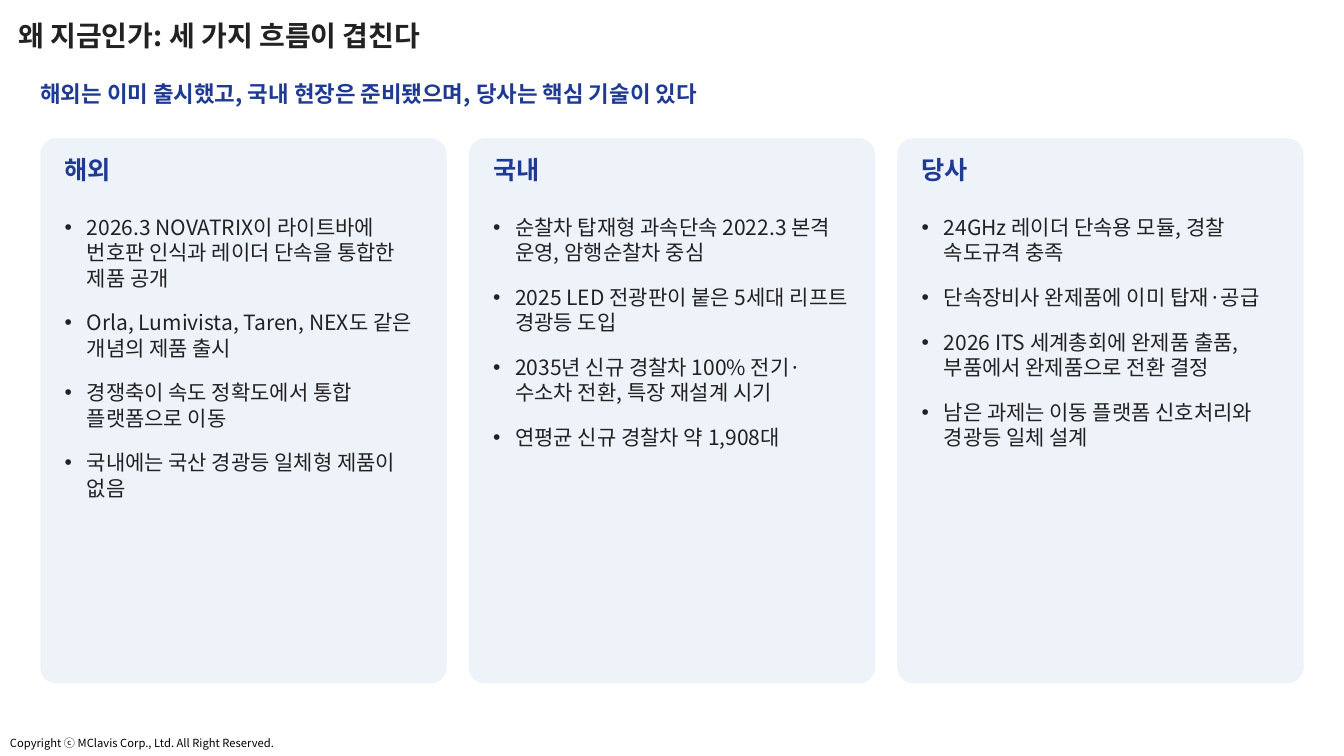
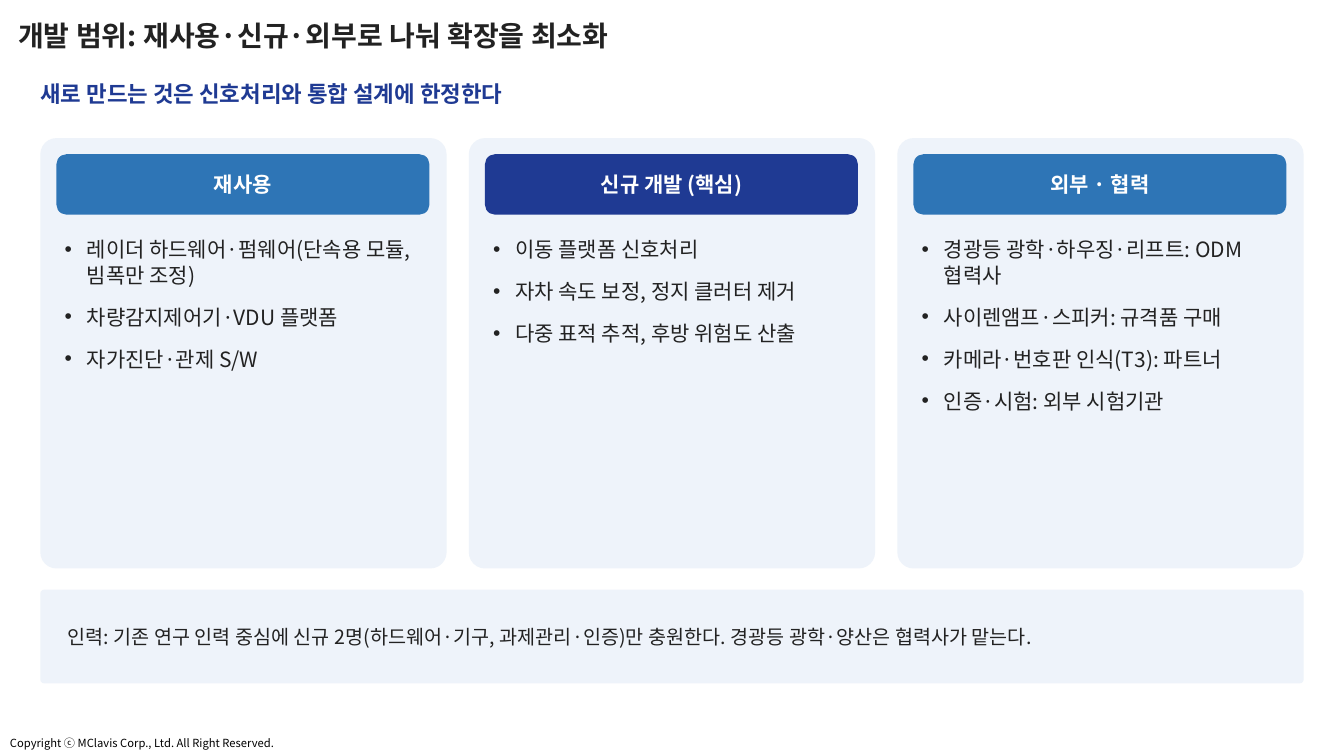
from dataclasses import dataclass
from typing import Optional

from lxml.etree import SubElement
from pptx import Presentation
from pptx.dml.color import RGBColor
from pptx.enum.shapes import MSO_SHAPE
from pptx.enum.text import MSO_ANCHOR, MSO_AUTO_SIZE, PP_ALIGN
from pptx.oxml.ns import qn
from pptx.util import Inches, Pt


@dataclass(frozen=True)
class Theme:
    face: str = "Noto Sans CJK KR"
    ink: str = "222222"
    navy: str = "1F3A93"
    blue: str = "2E75B6"
    pale: str = "EEF3FA"
    white: str = "FFFFFF"
    black: str = "000000"
    title: int = 20
    head: int = 18
    lead: int = 16
    body: int = 15
    note: int = 14
    foot: int = 8


@dataclass(frozen=True)
class Box:
    left: float
    top: float
    width: float
    height: float


@dataclass(frozen=True)
class Style:
    size: int
    color: str
    bold: bool = False
    after: int = 0
    line: Optional[float] = None
    bullet: bool = False
    align: PP_ALIGN = PP_ALIGN.LEFT


@dataclass(frozen=True)
class Card:
    head: str
    items: tuple[str, ...]
    fill: Optional[str] = None


@dataclass(frozen=True)
class Page:
    title: str
    lead: str
    cards: tuple[Card, ...]
    height: float
    top: float
    after: int
    note: str = ""


THEME = Theme()
LEFT, TOP, WIDE, GAP, COUNT = 0.4, 1.37, 12.53, 0.22, 3
CARD = round((WIDE - GAP * (COUNT - 1)) / COUNT, 2)
PAD, INSET = 0.24, 0.16
FOOT = "Copyright ⓒ MClavis Corp., Ltd. All Right Reserved."

PAGES = (
    Page(
        "왜 지금인가: 세 가지 흐름이 겹친다",
        "해외는 이미 출시했고, 국내 현장은 준비됐으며, 당사는 핵심 기술이 있다",
        (
            Card("해외", (
                "2026.3 NOVATRIX이 라이트바에 번호판 인식과 레이더 단속을 통합한 제품 공개",
                "Orla, Lumivista, Taren, NEX도 같은 개념의 제품 출시",
                "경쟁축이 속도 정확도에서 통합 플랫폼으로 이동",
                "국내에는 국산 경광등 일체형 제품이 없음",
            )),
            Card("국내", (
                "순찰차 탑재형 과속단속 2022.3 본격 운영, 암행순찰차 중심",
                "2025 LED 전광판이 붙은 5세대 리프트 경광등 도입",
                "2035년 신규 경찰차 100% 전기·수소차 전환, 특장 재설계 시기",
                "연평균 신규 경찰차 약 1,908대",
            )),
            Card("당사", (
                "24GHz 레이더 단속용 모듈, 경찰 속도규격 충족",
                "단속장비사 완제품에 이미 탑재·공급",
                "2026 ITS 세계총회에 완제품 출품, 부품에서 완제품으로 전환 결정",
                "남은 과제는 이동 플랫폼 신호처리와 경광등 일체 설계",
            )),
        ),
        height=5.41, top=2.13, after=14,
    ),
    Page(
        "개발 범위: 재사용·신규·외부로 나눠 확장을 최소화",
        "새로 만드는 것은 신호처리와 통합 설계에 한정한다",
        (
            Card("재사용", (
                "레이더 하드웨어·펌웨어(단속용 모듈, 빔폭만 조정)",
                "차량감지제어기·VDU 플랫폼",
                "자가진단·관제 S/W",
            ), THEME.blue),
            Card("신규 개발 (핵심)", (
                "이동 플랫폼 신호처리",
                "자차 속도 보정, 정지 클러터 제거",
                "다중 표적 추적, 후방 위험도 산출",
            ), THEME.navy),
            Card("외부 · 협력", (
                "경광등 광학·하우징·리프트: ODM 협력사",
                "사이렌앰프·스피커: 규격품 구매",
                "카메라·번호판 인식(T3): 파트너",
                "인증·시험: 외부 시험기관",
            ), THEME.blue),
        ),
        height=4.27, top=2.35, after=12,
        note="인력: 기존 연구 인력 중심에 신규 2명(하드웨어·기구, 과제관리·인증)만 "
             "충원한다. 경광등 광학·양산은 협력사가 맡는다.",
    ),
)


def place(shape, box: Box) -> None:
    shape.left, shape.top = Inches(box.left), Inches(box.top)
    shape.width, shape.height = Inches(box.width), Inches(box.height)


def write(shape, lines: tuple[str, ...], style: Style,
          anchor: MSO_ANCHOR = MSO_ANCHOR.TOP,
          inset: Optional[tuple[float, float]] = (0, 0), wrap: bool = True) -> None:
    frame = shape.text_frame
    frame.auto_size = MSO_AUTO_SIZE.NONE
    frame.word_wrap = wrap
    frame.vertical_anchor = anchor
    if inset is not None:
        frame.margin_left = frame.margin_right = Inches(inset[0])
        frame.margin_top = frame.margin_bottom = Inches(inset[1])
    for i, line in enumerate(lines):
        para = frame.paragraphs[0] if i == 0 else frame.add_paragraph()
        para.text = line
        para.alignment = style.align
        para.space_before = Pt(0)
        para.space_after = Pt(style.after)
        if style.line:
            para.line_spacing = style.line
        props = para._p.get_or_add_pPr()
        if style.bullet:
            props.set("marL", str(Inches(0.22)))
            props.set("indent", str(Inches(-0.22)))
            SubElement(props, qn("a:buChar")).set("char", "•")
        font = para.font
        font.size, font.bold = Pt(style.size), style.bold
        font.color.rgb = RGBColor.from_string(style.color)
        font.name = THEME.face
        east = SubElement(props.find(qn("a:defRPr")), qn("a:ea"))
        east.set("typeface", THEME.face)


def label(slide, box: Box, text: str, style: Style, **opts) -> None:
    shape = slide.shapes.add_textbox(0, 0, 0, 0)
    place(shape, box)
    write(shape, (text,), style, **opts)


def panel(slide, box: Box, fill: str, curve: Optional[float] = 0.04):
    shape = slide.shapes.add_shape(MSO_SHAPE.ROUNDED_RECTANGLE, 0, 0, 0, 0)
    place(shape, box)
    shape.shadow.inherit = False
    shape.fill.solid()
    shape.fill.fore_color.rgb = RGBColor.from_string(fill)
    shape.line.fill.background()
    if curve is not None:
        shape.adjustments[0] = curve
    return shape


def draw_card(slide, page: Page, card: Card, left: float, body) -> None:
    panel(slide, Box(left, TOP, CARD, page.height), THEME.pale)
    inner = CARD - 2 * PAD
    if card.fill:
        tab = panel(slide, Box(left + INSET, TOP + INSET, 3.7, 0.6), card.fill, None)
        style = Style(THEME.body, THEME.white, True, align=PP_ALIGN.CENTER)
        write(tab, (card.head,), style, MSO_ANCHOR.MIDDLE, (0.08, 0.03))
    else:
        label(slide, Box(left + PAD, TOP + INSET, inner, 0.44), card.head,
              Style(THEME.head, THEME.navy, True, 4))
    base = TOP + page.height - INSET
    place(body, Box(left + PAD, page.top, inner, base - page.top))
    write(body, card.items, Style(THEME.body, THEME.ink, after=page.after, bullet=True))
    body.element.getparent().append(body.element)


def draw_page(deck, page: Page) -> None:
    slide = deck.slides.add_slide(deck.slide_layouts.get_by_name("Comparison"))
    title, lead, *lists = slide.placeholders
    label(slide, Box(0, 7.26, 2.83, 0.24), FOOT, Style(THEME.foot, THEME.black),
          inset=None, wrap=False)
    place(title, Box(0.08, 0.18, 11.5, 0.39))
    write(title, (page.title,), Style(THEME.title, THEME.ink, True, line=0.9),
          MSO_ANCHOR.MIDDLE, None)
    place(lead, Box(LEFT, 0.7, WIDE, 0.46))
    write(lead, (page.lead,), Style(THEME.lead, THEME.navy, True, 4), MSO_ANCHOR.MIDDLE)
    for i, (card, body) in enumerate(zip(page.cards, lists)):
        draw_card(slide, page, card, LEFT + i * (CARD + GAP), body)
    if page.note:
        panel(slide, Box(LEFT, 5.85, WIDE, 0.93), THEME.pale)
        label(slide, Box(0.67, 5.91, 11.99, 0.82), page.note,
              Style(THEME.note, THEME.ink, after=4), anchor=MSO_ANCHOR.MIDDLE)


def main() -> None:
    deck = Presentation()
    deck.slide_width, deck.slide_height = Inches(13.33), Inches(7.5)
    for page in PAGES:
        draw_page(deck, page)
    deck.save("out.pptx")


if __name__ == "__main__":
    main()
